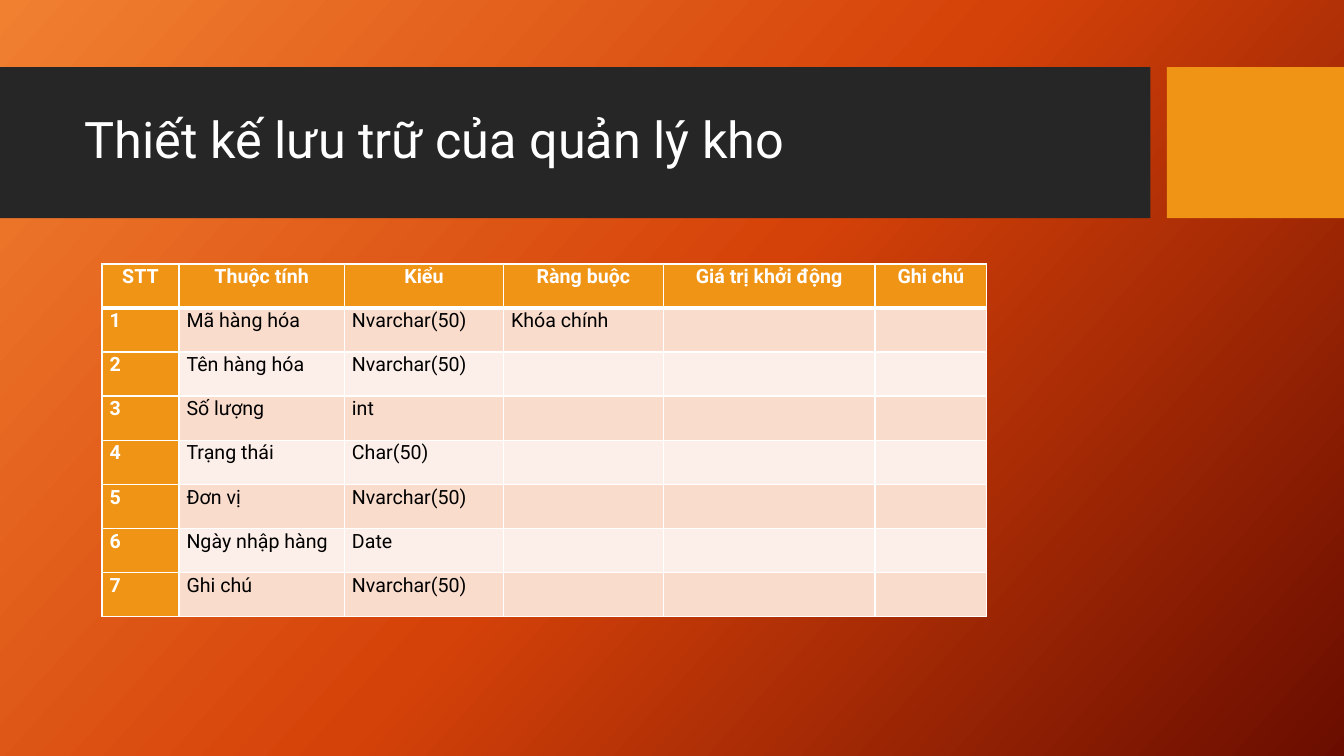
import copy

import pptx
import pptx.dml.color
import pptx.enum.shapes
import pptx.enum.text
import pptx.oxml
import pptx.oxml.ns
import pptx.util
from pptx.util import Cm

FONT = "Roboto"
COLORS = {
    "white": "FFFFFF",
    "black": "000000",
    "dark": "262626",
    "amber": "F09415",
    "odd": "F9DCCC",
    "even": "FCEEE8",
}
STOPS = [(0, "F18031"), (0.5, "D54209"), (1, "6A0D00")]
WIDTHS = [1.94, 4.17, 4.01, 4.03, 5.33, 2.82]
HEIGHT = 1.11
HEADS = ["STT", "Thuộc tính", "Kiểu", "Ràng buộc", "Giá trị khởi động", "Ghi chú"]
FIELDS = [
    ("Mã hàng hóa", "Nvarchar(50)", "Khóa chính"),
    ("Tên hàng hóa", "Nvarchar(50)"),
    ("Số lượng", "int"),
    ("Trạng thái", "Char(50)"),
    ("Đơn vị", "Nvarchar(50)"),
    ("Ngày nhập hàng", "Date"),
    ("Ghi chú", "Nvarchar(50)"),
]


def rgb(name):
    return pptx.dml.color.RGBColor.from_string(COLORS[name])


def paint_back(slide):
    fill = slide.background.fill
    fill.gradient()
    fill.gradient_angle = 360 - 42
    first = slide.element.find(".//" + pptx.oxml.ns.qn("a:gs"))
    first.addnext(copy.deepcopy(first))
    for stop, (place, color) in zip(fill.gradient_stops, STOPS):
        stop.position = place
        stop.color.rgb = pptx.dml.color.RGBColor.from_string(color)


def add_bar(slide, left, width, color):
    kind = pptx.enum.shapes.MSO_SHAPE.RECTANGLE
    bar = slide.shapes.add_shape(kind, Cm(left), Cm(1.69), Cm(width), Cm(3.81))
    bar.shadow.inherit = False
    bar.fill.solid()
    bar.fill.fore_color.rgb = rgb(color)
    bar.line.fill.background()


def style_text(para, size, color, bold=False):
    for run in para.runs:
        run.font.name = FONT
        run.font.size = pptx.util.Pt(size)
        run.font.bold = bold
        run.font.color.rgb = rgb(color)


def set_title(slide, text):
    title = slide.shapes.title
    title.left, title.top = Cm(1.88), Cm(2.08)
    title.width, title.height = Cm(26.7), Cm(3)
    frame = title.text_frame
    frame.text = text
    frame.word_wrap = True
    frame.auto_size = pptx.enum.text.MSO_AUTO_SIZE.NONE
    frame.vertical_anchor = pptx.enum.text.MSO_ANCHOR.MIDDLE
    para = frame.paragraphs[0]
    para.alignment = pptx.enum.text.PP_ALIGN.LEFT
    para.line_spacing = 0.9
    style_text(para, 36, "white")
    # Bring the title in front of the bars
    slide.shapes.element.append(title.element)


def add_edge(cell, side, points):
    space = pptx.oxml.ns.nsdecls("a")
    line = pptx.oxml.parse_xml(
        f'<a:ln{side} {space} w="{pptx.util.Pt(points)}"><a:solidFill>'
        f'<a:srgbClr val="{COLORS["white"]}"/></a:solidFill></a:ln{side}>'
    )
    cell._tc.get_or_add_tcPr().append(line)


def fill_cell(cell, text, row, col):
    head = row == 0
    label = head or col == 0
    for side in "LRTB":
        thick = (row, side) in [(0, "B"), (1, "T")]
        add_edge(cell, side, 3 if thick else 1)
    cell.margin_left = cell.margin_right = Cm(0.19)
    cell.margin_top = cell.margin_bottom = 0
    cell.fill.solid()
    band = "odd" if row % 2 else "even"
    cell.fill.fore_color.rgb = rgb("amber" if label else band)
    if not text:
        return
    cell.text_frame.text = text
    para = cell.text_frame.paragraphs[0]
    align = pptx.enum.text.PP_ALIGN
    para.alignment = align.CENTER if head else align.LEFT
    para.line_spacing = 1.07
    para.space_after = pptx.util.Pt(8)
    style_text(para, 14, "white" if label else "black", label)


def add_grid(slide, rows):
    frame = slide.shapes.add_table(
        len(rows), len(WIDTHS), Cm(2.57), Cm(6.65),
        Cm(sum(WIDTHS)), Cm(HEIGHT * len(rows)),
    )
    table = frame.table
    for col, width in zip(table.columns, WIDTHS):
        col.width = Cm(width)
    for r, texts in enumerate(rows):
        table.rows[r].height = Cm(HEIGHT)
        for c in range(len(WIDTHS)):
            text = texts[c] if c < len(texts) else ""
            fill_cell(table.cell(r, c), text, r, c)


def main():
    deck = pptx.Presentation()
    deck.slide_width, deck.slide_height = Cm(33.87), Cm(19.05)
    slide = deck.slides.add_slide(deck.slide_layouts[5])
    paint_back(slide)
    add_bar(slide, 0, 28.99, "dark")
    add_bar(slide, 29.41, 4.46, "amber")
    set_title(slide, "Thiết kế lưu trữ của quản lý kho")
    rows = [(str(n), *field) for n, field in enumerate(FIELDS, 1)]
    add_grid(slide, [HEADS, *rows])
    deck.save("out.pptx")


if __name__ == "__main__":
    main()
